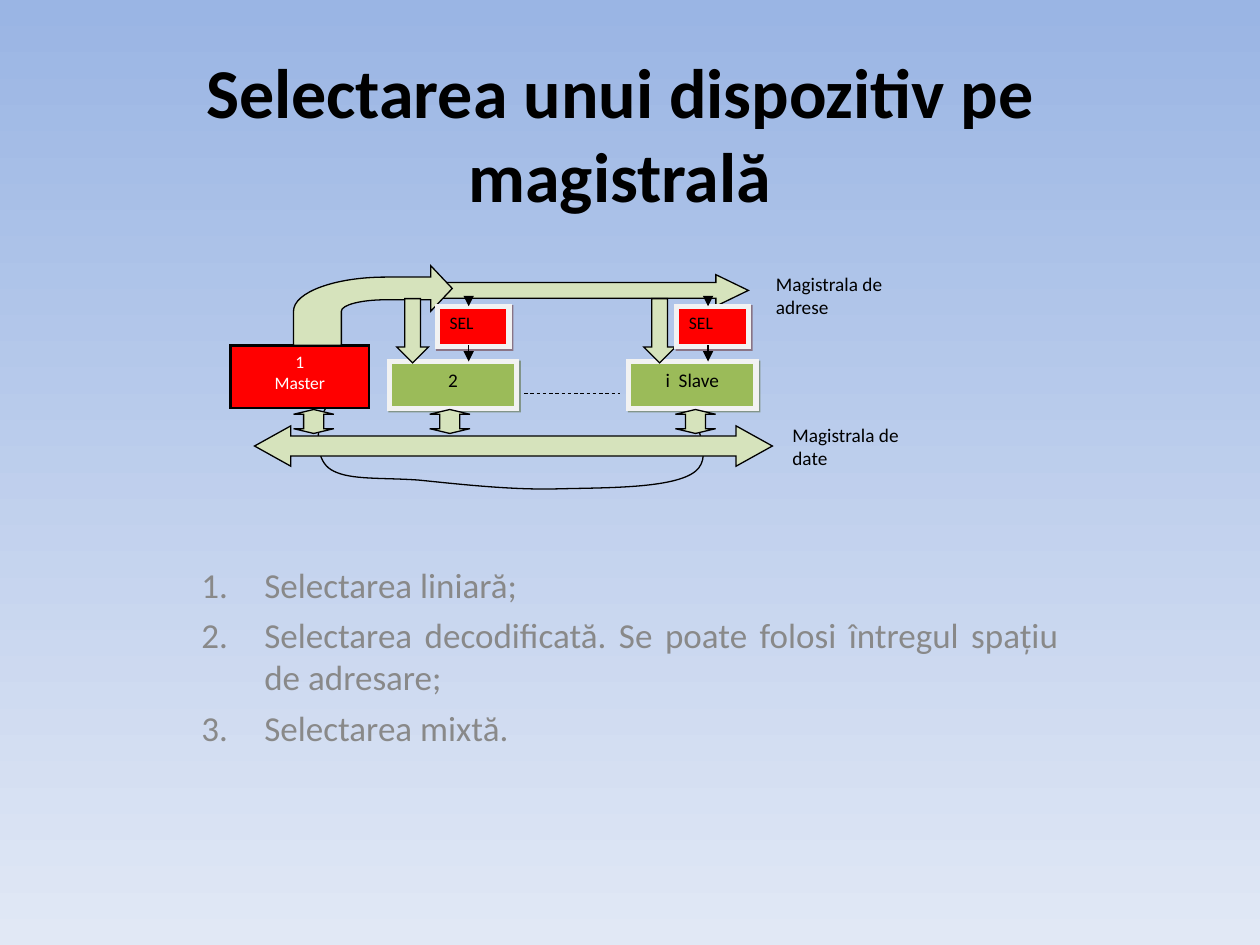
from lxml import etree
from pptx import Presentation
from pptx.dml.color import RGBColor
from pptx.enum.dml import MSO_LINE
from pptx.enum.lang import MSO_LANGUAGE_ID
from pptx.enum.shapes import MSO_CONNECTOR, MSO_SHAPE
from pptx.enum.text import MSO_ANCHOR, PP_ALIGN
from pptx.oxml.ns import qn
from pptx.util import Inches, Pt

BLACK = RGBColor(0x00, 0x00, 0x00)
WHITE = RGBColor(0xFF, 0xFF, 0xFF)
GRAY = RGBColor(0x89, 0x89, 0x89)
FRAME = RGBColor(0xF2, 0xF2, 0xF2)
RED = RGBColor(0xFF, 0x00, 0x00)
GREEN = RGBColor(0x9B, 0xBB, 0x59)
PALE = RGBColor(0xD6, 0xE3, 0xBC)
DARK_GREEN = RGBColor(0x4E, 0x61, 0x28)
DARK_RED = RGBColor(0x62, 0x24, 0x23)
SKY_TOP = RGBColor(0x9A, 0xB5, 0xE4)
SKY_BOTTOM = RGBColor(0xE1, 0xE8, 0xF5)

CENTER, LEFT, JUSTIFY = PP_ALIGN.CENTER, PP_ALIGN.LEFT, PP_ALIGN.JUSTIFY
TOP, MIDDLE = MSO_ANCHOR.TOP, MSO_ANCHOR.MIDDLE
RECT, RIGHT_ARROW = MSO_SHAPE.RECTANGLE, MSO_SHAPE.RIGHT_ARROW
DOWN_ARROW, UP_DOWN = MSO_SHAPE.DOWN_ARROW, MSO_SHAPE.UP_DOWN_ARROW
LEFT_RIGHT = MSO_SHAPE.LEFT_RIGHT_ARROW
STRAIGHT, DASH = MSO_CONNECTOR.STRAIGHT, MSO_LINE.DASH
ROMANIAN = MSO_LANGUAGE_ID.ROMANIAN

FONT = "Calibri"
COLS, ROWS = 1000, 750
WIDTH, HEIGHT = Inches(10), Inches(7.5)
COL, ROW = WIDTH // COLS, HEIGHT // ROWS


def inside(box, x, y, w=0, h=0):
    """Return a grid box placed relative to the corner of another box."""
    return box[0] + x, box[1] + y, w, h


def emu(box):
    """Convert a grid box to slide lengths."""
    x, y, w, h = box
    return x * COL, y * ROW, w * COL, h * ROW


def write(sp, lines, size, color, align, anchor=TOP, bold=False):
    """Write formatted paragraphs into a shape."""
    tf = sp.text_frame
    tf.word_wrap = True
    tf.vertical_anchor = anchor
    tf.text = "\n".join(lines)
    for p in tf.paragraphs:
        p.alignment = align
        for r in p.runs:
            r.font.name, r.font.size, r.font.bold = FONT, Pt(size), bold
            r.font.color.rgb, r.font.language_id = color, ROMANIAN
    return tf


def add_text(s, box, lines, size, color, align, anchor=TOP, bold=False):
    """Add a text box in a grid box."""
    sp = s.shapes.add_textbox(*emu(box))
    return write(sp, lines, size, color, align, anchor, bold)


def style(sp, fill, line=BLACK, weight=0.75):
    """Give a shape its fill and sharp outline without a theme shadow."""
    sp.shadow.inherit = False
    if fill is None:
        sp.fill.background()
    else:
        sp.fill.solid()
        sp.fill.fore_color.rgb = fill
    sp.line.color.rgb = line
    sp.line.width = Pt(weight)
    etree.SubElement(sp.line._get_or_add_ln(), qn("a:miter"), lim="800000")


def add_shape(s, kind, box, fill, adj=(), line=BLACK, weight=0.75):
    """Add a styled preset shape in a grid box."""
    sp = s.shapes.add_shape(kind, *emu(box))
    style(sp, fill, line, weight)
    guides = sp._element.spPr.find(qn("a:prstGeom")).find(qn("a:avLst"))
    for gd in list(guides):
        guides.remove(gd)
    for i, value in enumerate(adj, 1):
        etree.SubElement(guides, qn("a:gd"), name=f"adj{i}", fmla=f"val {round(value * 100000)}")
    return sp


def add_framed(s, box, fill, shadow):
    """Add a light-framed block with a hard offset shadow."""
    sp = add_shape(s, RECT, box, fill, line=FRAME, weight=3)
    effects = sp._element.spPr.find(qn("a:effectLst"))
    outer = etree.SubElement(effects, qn("a:outerShdw"), blurRad="0",
                             dist=str(Pt(1.4)), dir="2700000", algn="ctr", rotWithShape="0")
    color = etree.SubElement(outer, qn("a:srgbClr"), val=str(shadow))
    etree.SubElement(color, qn("a:alpha"), val="50000")
    return sp


def add_heads(sp, *ends):
    """Add triangle arrowheads to the named line ends."""
    ln = sp.line._get_or_add_ln()
    for end in ends:
        etree.SubElement(ln, qn("a:" + end), type="triangle")


def add_line(s, box, weight=0.75, dash=None):
    """Add a straight connector along the extent of a grid box."""
    x, y, w, h = emu(box)
    sp = s.shapes.add_connector(STRAIGHT, x, y, x + w, y + h)
    sp.line.color.rgb, sp.line.width = BLACK, Pt(weight)
    if dash:
        sp.line.dash_style = dash
    etree.SubElement(sp._element.spPr, qn("a:effectLst"))
    return sp


def add_outline(s, box, path, fill=None, close=False):
    """Add a freeform of straight and cubic segments relative to a grid box."""
    segs = [[((box[0] + x) * COL, (box[1] + y) * ROW) for x, y in zip(seg[::2], seg[1::2])]
            for seg in path]
    fb = s.shapes.build_freeform(*segs[0][0])
    fb.add_line_segments([seg[-1] for seg in segs[1:]], close=close)
    sp = fb.convert_to_shape()
    style(sp, fill)
    for node, seg in zip(list(sp._element.iter(qn("a:lnTo"))), segs[1:]):
        if len(seg) == 3:
            node.tag = qn("a:cubicBezTo")
            node.remove(node[0])
            for x, y in seg:
                etree.SubElement(node, qn("a:pt"), x=str(x - sp.left), y=str(y - sp.top))
    return sp


def add_address_bus(s, box):
    """Draw the bent source arrow and the drops of the address bus."""
    bend = [(176, 18), (159, 0), (159, 9), (123, 9), (83, 9, 50, 21, 50, 36), (50, 63),
            (88, 63), (88, 36), (88, 31, 104, 27, 123, 27), (159, 27), (159, 36)]
    add_outline(s, box, bend, PALE, True)
    for x in (132, 328):
        add_shape(s, DOWN_ARROW, inside(box, x, 26, 25, 51), PALE, (0.5, 0.5))
    add_text(s, inside(box, 423, 0, 120, 51), ["Magistrala de adrese"], 11, BLACK, LEFT)


def add_data_bus(s, box):
    """Draw the data bus, its links to the devices and its label."""
    add_shape(s, LEFT_RIGHT, inside(box, 0, 13, 411, 32), PALE, (0.5, 0.9))
    for x in (31, 139, 334):
        add_shape(s, UP_DOWN, inside(box, x, 0, 32, 19), PALE, (0.5, 0.2))
    add_text(s, inside(box, 417, 6, 114, 57), ["Magistrala de date"], 11, BLACK, LEFT)


def add_selector(s, box):
    """Draw a selector block with its arrows in and out."""
    sp = add_framed(s, inside(box, 0, 6, 57, 32), RED, DARK_RED)
    write(sp, ["SEL"], 10, BLACK, LEFT)
    for y, h in ((0, 6), (37, 13)):
        add_heads(add_line(s, inside(box, 25, y, 0, h)), "tailEnd")


def add_diagram(s, box):
    """Draw the master, the slaves and the buses that join them."""
    loop = [(88, 95), (80, 106, 71, 118, 70, 129), (69, 141, 69, 157, 82, 163),
            (96, 170, 120, 168, 149, 170), (179, 173, 222, 178, 259, 177),
            (296, 176, 352, 177, 369, 163), (385, 150, 359, 106, 357, 95)]
    add_heads(add_outline(s, box, loop), "headEnd", "tailEnd")
    add_shape(s, RIGHT_ARROW, inside(box, 158, 7, 253, 25), PALE, (0.5, 1.03))
    master = add_shape(s, RECT, inside(box, 0, 63, 110, 50), RED, weight=1.5)
    write(master, ["1", "Master"], 10, WHITE, CENTER)
    slaves = ((126, "2"), (316, "i  Slave"))
    for x, label in slaves:
        sp = add_framed(s, inside(box, x, 76, 101, 37), GREEN, DARK_GREEN)
        write(sp, [label], 11, BLACK, CENTER)
    add_line(s, inside(box, 233, 101, 76), 0.5, DASH)
    add_address_bus(s, box)
    add_data_bus(s, inside(box, 19, 114))
    for x, _ in slaves:
        add_selector(s, inside(box, x + 38, 26))


def add_methods(s, box):
    """Write the numbered list of selection methods."""
    methods = ["Selectarea liniară;",
               "Selectarea decodificată. Se poate folosi întregul spaţiu de adresare;",
               "Selectarea mixtă."]
    tf = add_text(s, box, methods, 20, GRAY, JUSTIFY)
    for i, p in enumerate(tf.paragraphs):
        pPr = p._p.get_or_add_pPr()
        pPr.set("marL", str(Inches(0.5)))
        pPr.set("indent", str(-Inches(0.5)))
        color = etree.SubElement(pPr, qn("a:buClr"))
        etree.SubElement(color, qn("a:srgbClr"), val=str(GRAY))
        etree.SubElement(pPr, qn("a:buAutoNum"), type="arabicPeriod")
        p.space_before = Pt(5 if i else 0)


def main():
    """Build and save the slide."""
    prs = Presentation()
    prs.slide_width, prs.slide_height = WIDTH, HEIGHT
    s = prs.slides.add_slide(prs.slide_layouts[6])
    sky = s.background.fill
    sky.gradient()
    sky.gradient_angle = 270
    for stop, color in zip(sky.gradient_stops, (SKY_TOP, SKY_BOTTOM)):
        stop.color.rgb = color
    add_text(s, (67, 25, 850, 161), ["Selectarea unui dispozitiv pe magistrală"],
             40, BLACK, CENTER, MIDDLE, True)
    add_methods(s, (150, 442, 700, 192))
    add_diagram(s, (183, 211, 550, 178))
    prs.save("out.pptx")


if __name__ == "__main__":
    main()
